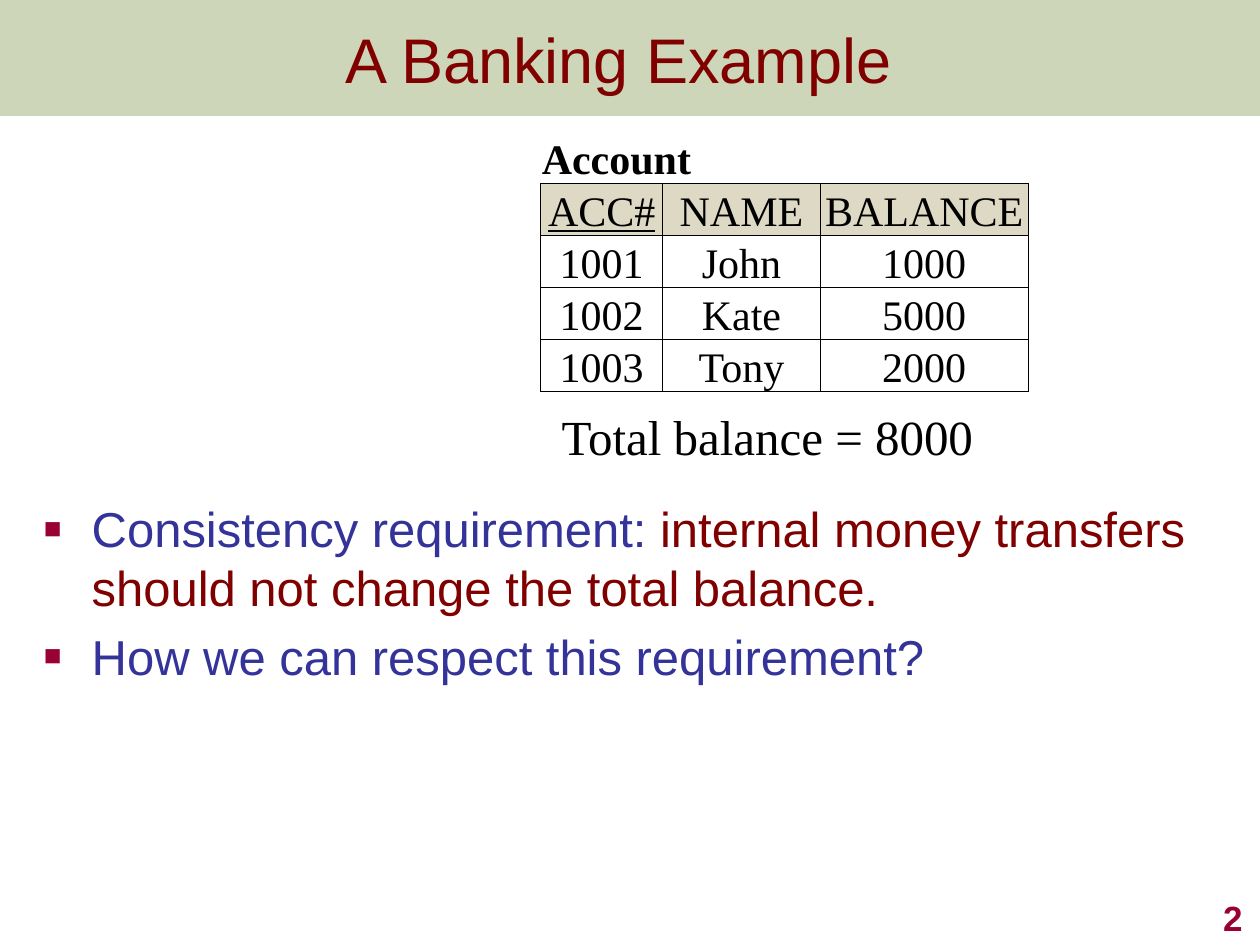
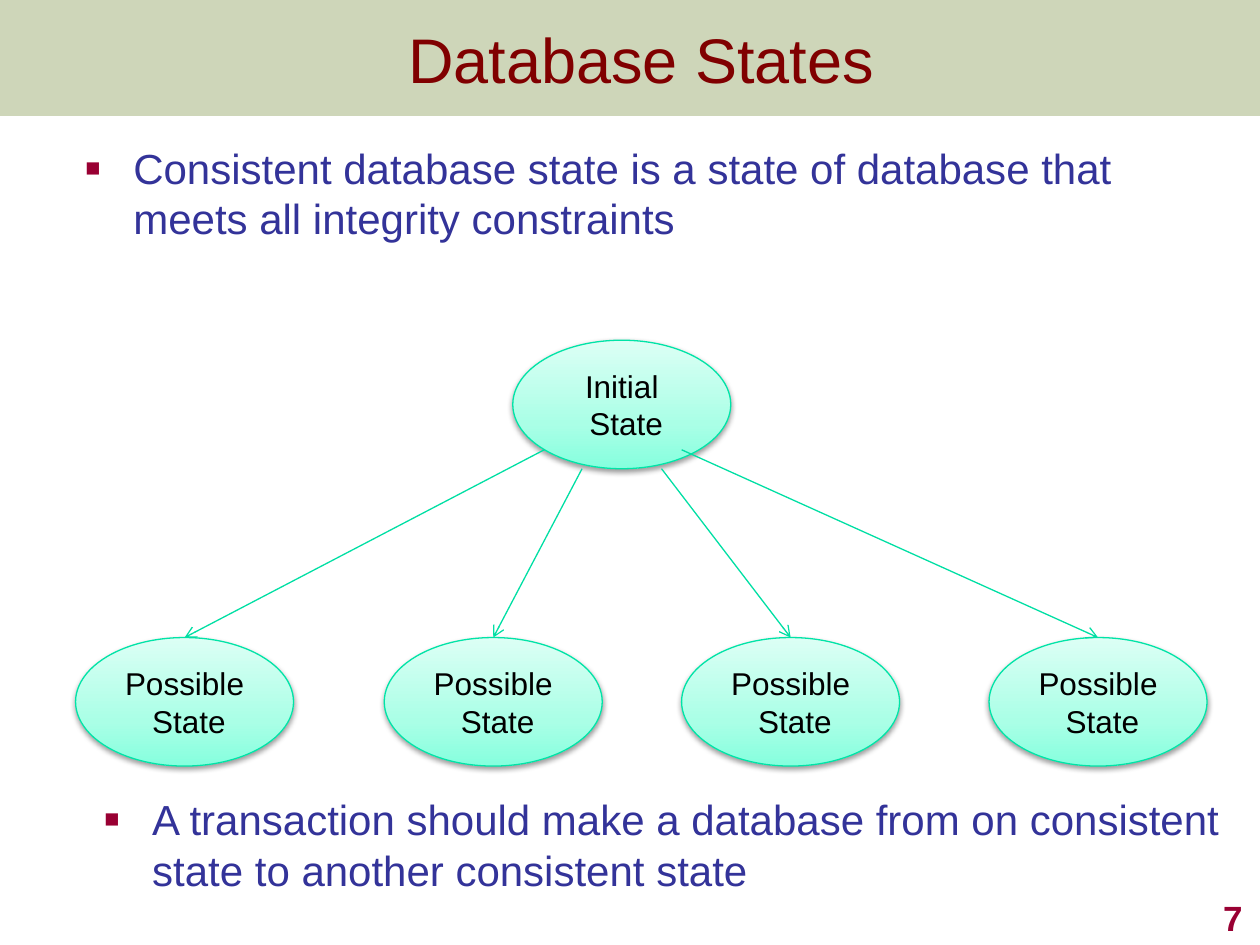
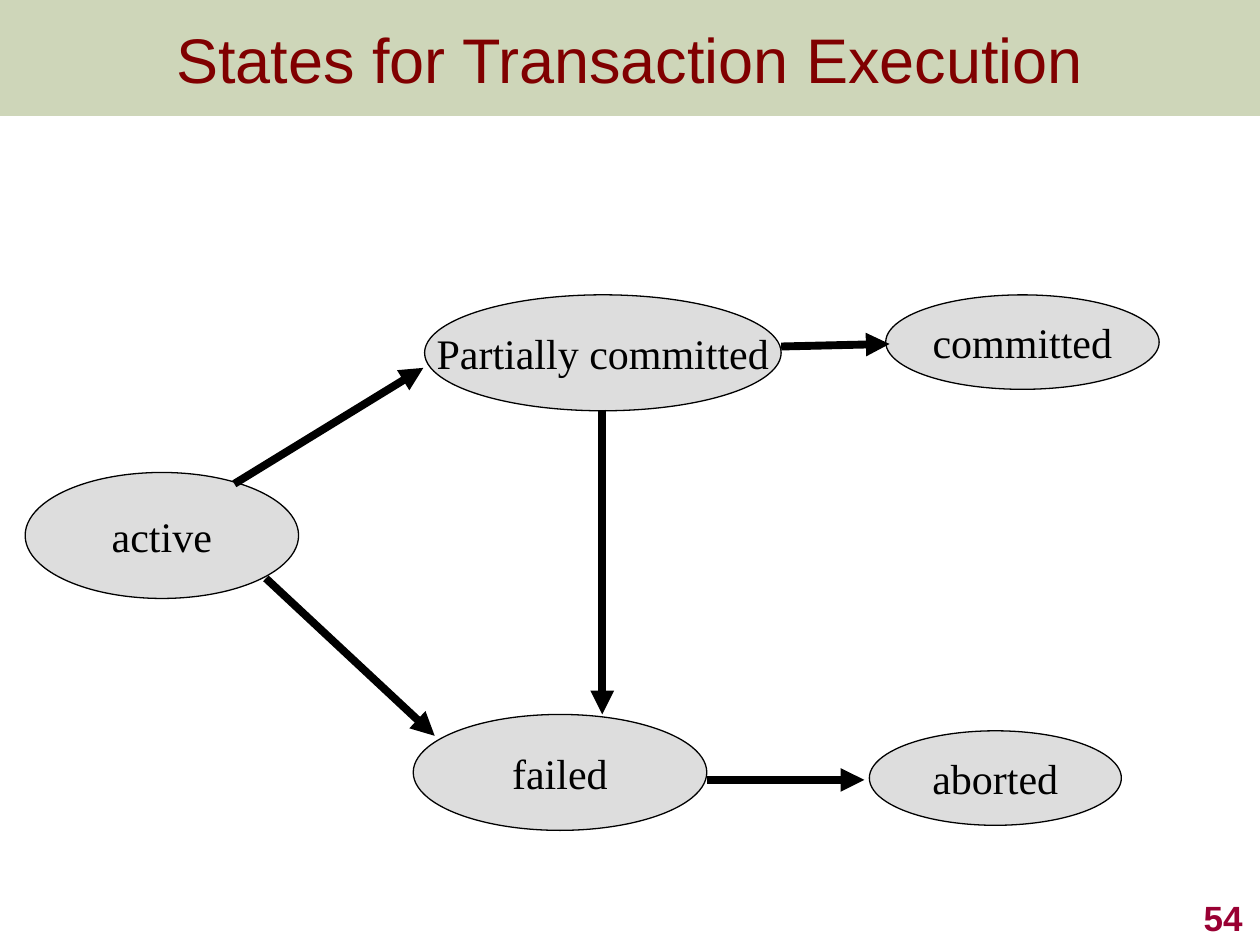
from lxml import etree
from pptx import Presentation
from pptx.dml.color import RGBColor
from pptx.enum import shapes, text
from pptx.oxml import parse_xml
from pptx.oxml.ns import nsdecls, qn
from pptx.util import Inches, Pt

MAROON = RGBColor(0x80, 0x00, 0x00)
CRIMSON = RGBColor(0x99, 0x00, 0x33)
NAVY = RGBColor(0x33, 0x33, 0x99)
OLIVE = RGBColor(0x79, 0x8E, 0x3E)
SAND = RGBColor(0xDD, 0xD9, 0xC4)
GREY = RGBColor(0xDD, 0xDD, 0xDD)
MINT_EDGE = RGBColor(0x00, 0xE4, 0xA7)
MINT_ARROW = RGBColor(0x00, 0xDF, 0xA4)
BLACK = RGBColor(0, 0, 0)
WHITE = RGBColor(0xFF, 0xFF, 0xFF)
SANS, SERIF = "Arial", "Times New Roman"
LEFT, CENTER, RIGHT = text.PP_ALIGN.LEFT, text.PP_ALIGN.CENTER, text.PP_ALIGN.RIGHT
TOP, MIDDLE, BOTTOM = text.MSO_ANCHOR.TOP, text.MSO_ANCHOR.MIDDLE, text.MSO_ANCHOR.BOTTOM


def write(tf, paragraphs, size, font=SANS, color=BLACK, bold=False,
          align=LEFT, anchor=TOP, wrap=True, bullet=False):
    """Fill a text frame; each paragraph is a string or a list of (text, colour) runs."""
    tf.word_wrap, tf.vertical_anchor = wrap, anchor
    if bullet:
        tf.margin_right = 0
    for i, runs in enumerate(paragraphs):
        p = tf.paragraphs[0] if i == 0 else tf.add_paragraph()
        p.alignment = align
        if bullet:
            p.space_before = Pt(0.2 * size)
            pPr = p._p.get_or_add_pPr()
            pPr.set("marL", str(Inches(0.38)))
            pPr.set("indent", str(-Inches(0.38)))
            clr = etree.SubElement(pPr, qn("a:buClr"))
            etree.SubElement(clr, qn("a:srgbClr"), val=str(CRIMSON))
            etree.SubElement(pPr, qn("a:buSzPct"), val="60000")
            etree.SubElement(pPr, qn("a:buFont"), typeface=SANS)
            etree.SubElement(pPr, qn("a:buChar"), char="■")
        for words, run_color in [(runs, color)] if isinstance(runs, str) else runs:
            r = p.add_run()
            r.text = words
            for name, value in {"size": Pt(size), "name": font, "bold": bold}.items():
                setattr(r.font, name, value)
            r.font.color.rgb = run_color


def add_arrow(s, start, end, color, width, head):
    points = [Inches(v) for v in (*start, *end)]
    cx = s.shapes.add_connector(shapes.MSO_CONNECTOR.STRAIGHT, *points)
    cx.line.color.rgb = color
    cx.line.width = Pt(width)
    etree.SubElement(cx.line._get_or_add_ln(), qn("a:tailEnd"), type=head)
    etree.SubElement(cx._element.spPr, qn("a:effectLst"))
    return cx


prs = Presentation()
prs.slide_width, prs.slide_height = Inches(10), Inches(7.5)

# Shared band, title and slide number
slides = []
for title, left, number in [
    ("A Banking Example", 0.33, "2"),
    ("Database States", 0.51, "7"),
    ("States for Transaction Execution", 0.42, "54"),
]:
    s = prs.slides.add_slide(prs.slide_layouts[6])
    band = s.shapes.add_shape(shapes.MSO_SHAPE.RECTANGLE, 0, 0, prs.slide_width, Inches(0.92))
    band.shadow.inherit = False
    band.fill.solid()
    band.fill.fore_color.rgb = OLIVE
    etree.SubElement(band._element.spPr.find(".//" + qn("a:srgbClr")), qn("a:alpha"), val="36000")
    band.line.fill.background()
    sp = s.shapes.add_textbox(Inches(left), 0, Inches(9.16), Inches(0.92))
    write(sp.text_frame, [title], 36, color=MAROON, align=CENTER, anchor=MIDDLE)
    sp = s.shapes.add_textbox(Inches(7.88), Inches(7), Inches(2.08), Inches(0.5))
    write(sp.text_frame, [number], 20, color=CRIMSON, bold=True, align=RIGHT, anchor=BOTTOM)
    slides.append(s)
banking, database, execution = slides

# Bulleted text
for s, box, size, paragraphs in [
    (banking, (0.25, 3.91, 9.4, 1.92), 28, [
        [("Consistency requirement: ", NAVY),
         ("internal money transfers should not change the total balance.", MAROON)],
        "How we can respect this requirement?"]),
    (database, (0.58, 1.08, 9.07, 1.17), 24, [
        "Consistent database state is a state of database that meets all integrity constraints"]),
    (database, (0.73, 6.25, 9.07, 1), 24, [
        "A transaction should make a database from on consistent state "
        "to another consistent state"]),
]:
    sp = s.shapes.add_textbox(*map(Inches, box))
    write(sp.text_frame, paragraphs, size, color=NAVY, bullet=True)

# Slide 1: account table
sp = banking.shapes.add_textbox(Inches(4.36), Inches(3.18), Inches(4.5), Inches(0.57))
write(sp.text_frame, ["Total balance = 8000"], 28, SERIF)

rows = [
    ("Account", "", ""),
    ("ACC#", "NAME", "BALANCE"),
    ("1001", "John", "1000"),
    ("1002", "Kate", "5000"),
    ("1003", "Tony", "2000"),
]
table = banking.shapes.add_table(5, 3, Inches(4.29), Inches(1.04), Inches(3.87), Inches(2.07)).table
table.first_row = table.horz_banding = False
for column, width in zip(table.columns, (0.97, 1.25, 1.65)):
    column.width = Inches(width)
for i, row in enumerate(rows):
    for j, value in enumerate(row):
        cell = table.cell(i, j)
        cell.margin_left = cell.margin_right = cell.margin_top = Inches(0.01)
        cell.margin_bottom = 0
        cell.vertical_anchor = BOTTOM
        if value:
            write(cell.text_frame, [value], 24, SERIF, bold=i == 0,
                  align=CENTER if i else LEFT, anchor=None)
        for side in ("lnL", "lnR", "lnT", "lnB") if i else ("lnB",):
            cell._tc.get_or_add_tcPr().append(parse_xml(
                f'<a:{side} {nsdecls("a")} w="{Pt(0.5)}"><a:solidFill>'
                f'<a:srgbClr val="{BLACK}"/></a:solidFill></a:{side}>'))
        cell.fill.solid()
        cell.fill.fore_color.rgb = SAND if i == 1 else WHITE
table.cell(0, 0).merge(table.cell(0, 1))
table.cell(1, 0).text_frame.paragraphs[0].runs[0].font.underline = True

# Slide 2: one initial state leading to four possible states
MINT_FILL = (
    f'<a:gradFill {nsdecls("a")} rotWithShape="1"><a:gsLst>'
    + "".join(f'<a:gs pos="{pos}000"><a:srgbClr val="{c}"/></a:gs>'
              for pos, c in ((0, "DCFFF5"), (65, "AAFFE6"), (100, "85FFDE")))
    + '</a:gsLst><a:lin ang="5400000" scaled="0"/></a:gradFill>')
SOFT_SHADOW = (
    f'<a:outerShdw {nsdecls("a")} blurRad="{Pt(3.1)}" dist="{Pt(1.6)}" dir="5400000" '
    'rotWithShape="0"><a:srgbClr val="000000"><a:alpha val="38000"/></a:srgbClr></a:outerShdw>')

states = []
for word, left, top in [("Initial", 4.07, 2.7), ("Possible", 0.6, 5.06), ("Possible", 3.05, 5.06),
                        ("Possible", 5.41, 5.06), ("Possible", 7.85, 5.06)]:
    sp = database.shapes.add_shape(shapes.MSO_SHAPE.OVAL, Inches(left), Inches(top),
                                   Inches(1.73), Inches(1.02))
    sp.shadow.inherit = False
    spPr = sp._element.spPr
    spPr.find(qn("a:effectLst")).append(parse_xml(SOFT_SHADOW))
    spPr.find(qn("a:prstGeom")).addnext(parse_xml(MINT_FILL))
    sp.line.color.rgb = MINT_EDGE
    sp.line.width = Pt(0.75)
    write(sp.text_frame, [word, " State"], 18, align=CENTER, anchor=MIDDLE)
    states.append(sp)
for start, state in zip([(4.32, 3.57), (4.62, 3.72), (5.25, 3.72), (5.41, 3.57)], states[1:]):
    cx = add_arrow(database, start, (5, 5.06), MINT_ARROW, 0.75, "arrow")
    cx.end_connect(state, 0)

# Slide 3: transaction state diagram
for label, *box in [
    ("active", 0.2, 3.75, 2.17, 1),
    ("Partially committed", 3.37, 2.34, 2.83, 0.92),
    ("failed", 3.28, 5.67, 2.33, 0.92),
    ("committed", 7.03, 2.34, 2.17, 0.75),
    ("aborted", 6.9, 5.8, 2, 0.75),
]:
    sp = execution.shapes.add_shape(shapes.MSO_SHAPE.OVAL, *map(Inches, box))
    sp.shadow.inherit = False
    sp.fill.solid()
    sp.fill.fore_color.rgb = GREY
    sp.line.color.rgb = BLACK
    sp.line.width = Pt(0.75)
    write(sp.text_frame, [label], 24, SERIF, align=CENTER, anchor=MIDDLE, wrap=False)
for start, end in [
    ((1.86, 3.84), (3.36, 2.92)),
    ((2.11, 4.59), (3.45, 5.84)),
    ((4.78, 3.25), (4.78, 5.67)),
    ((6.2, 2.75), (7.06, 2.73)),
    ((5.61, 6.19), (6.86, 6.19)),
]:
    add_arrow(execution, start, end, BLACK, 4.5, "triangle")

prs.save("out.pptx")
